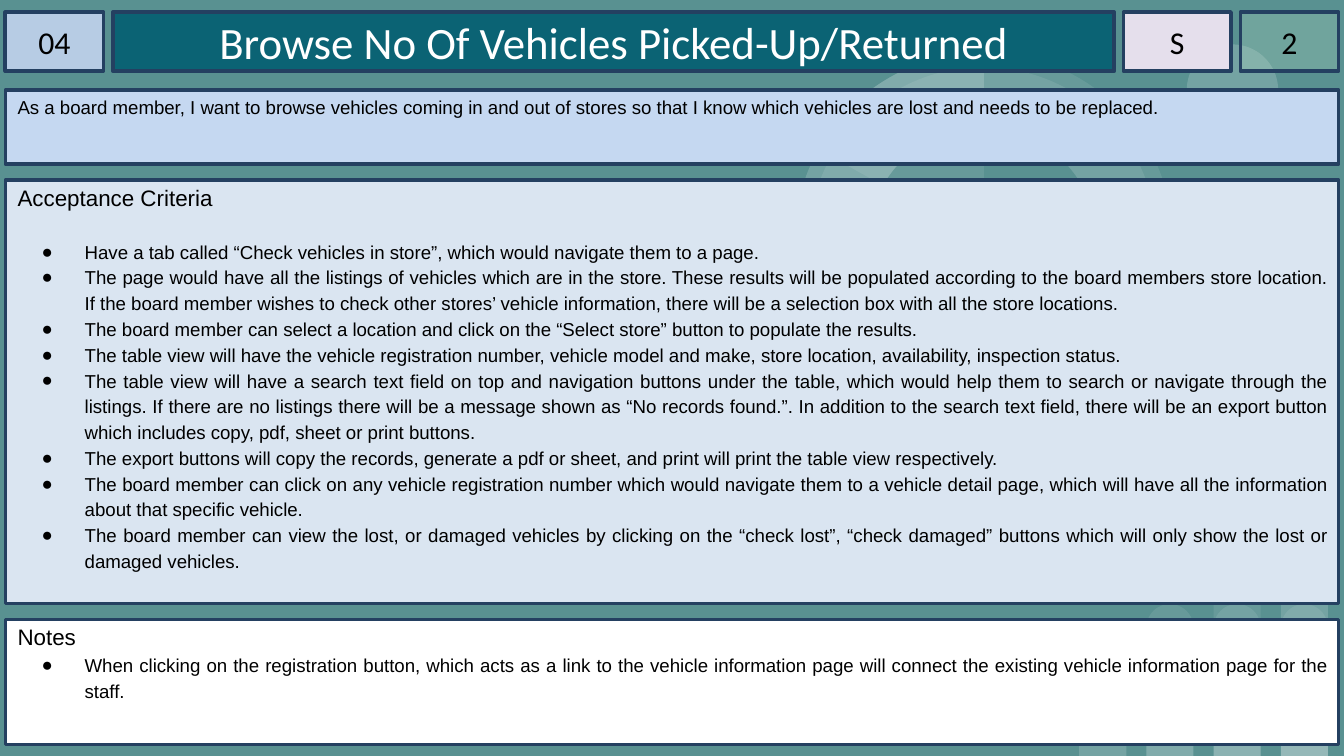
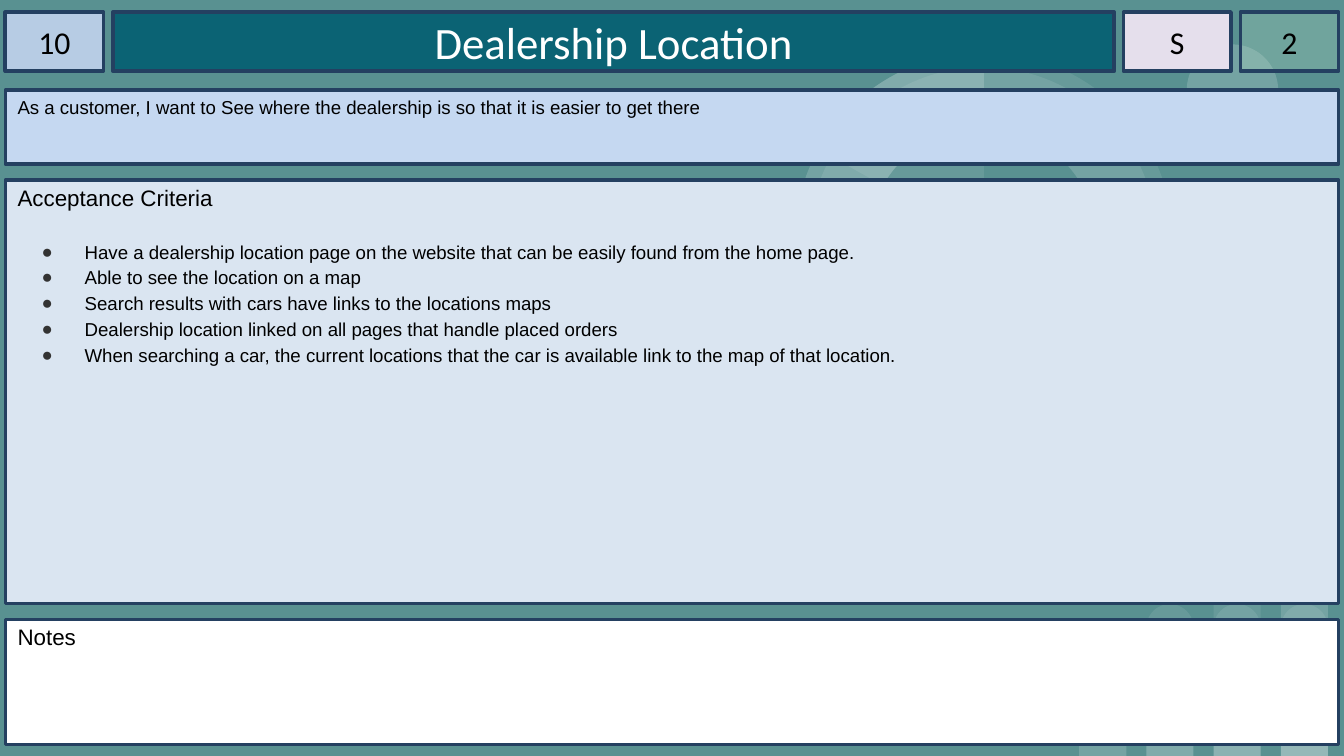
from dataclasses import dataclass

from lxml import etree
from pptx import Presentation
from pptx.dml.color import RGBColor
from pptx.enum.shapes import MSO_SHAPE
from pptx.enum.text import MSO_ANCHOR, PP_ALIGN
from pptx.oxml.ns import qn
from pptx.util import Inches, Pt

RECT, OVAL, PIE = MSO_SHAPE.RECTANGLE, MSO_SHAPE.OVAL, MSO_SHAPE.PIE
BAR = MSO_SHAPE.ROUND_2_SAME_RECTANGLE
TOP, MIDDLE = MSO_ANCHOR.TOP, MSO_ANCHOR.MIDDLE
LEFT, CENTER, JUSTIFY = PP_ALIGN.LEFT, PP_ALIGN.CENTER, PP_ALIGN.JUSTIFY

WIDTH = 10
HEIGHT = WIDTH * 9 / 16
MARGIN = 0.04
BACKGROUND, BORDER = "599191", "244061"
WHITE, BLACK, GREY = "FFFFFF", "000000", "333333"
TITLE_FILL, STORY_FILL, CRITERIA_FILL = "0B6374", "C5D8F1", "DAE5F1"
HEADING_FONT, BODY_FONT = "Calibri", "Arial"

HEADER_TOP, HEADER_HEIGHT, HEADER_GAP = 0.09, 0.44, 0.07
PANEL_TOP, PANEL_GAP = 0.67, 0.12
PANEL_WIDTH = WIDTH - 2 * MARGIN

BAR_COUNT, BAR_LEFT, BAR_PITCH, BAR_WIDTH, BAR_STEP = 4, 8.03, 0.5, 0.35, 0.38


@dataclass
class Story:
    number: str
    title: str
    priority: str
    points: str
    text: str
    criteria: list[str]
    notes: list[str]
    bullet_color: str


@dataclass
class HeaderCell:
    text: str
    width: float
    fill: str
    size: int = 17
    color: str = BLACK
    inset: float = 0
    alpha: int = 100


@dataclass
class Panel:
    height: float
    fill: str
    inset_top: float


@dataclass
class Disc:
    left: float
    top: float
    size: float
    rotation: float = 0
    angles: tuple[float, ...] = ()
    fill: str = WHITE
    alpha: int = 9


PANELS = [
    Panel(0.55, STORY_FILL, 0.04),
    Panel(3.15, CRITERIA_FILL, 0.03),
    Panel(0.93, WHITE, 0.03),
]

DISCS = [
    Disc(8.83, 0.33, 0.68, 215.9),
    Disc(8.83, 0.33, 0.68, 215.9, (322.95, 205.23)),
    Disc(5.91, 0.39, 2.82),
    Disc(6.02, 0.5, 2.59, 34.1),
    Disc(5.91, 0.39, 2.82, 0, (146.69, 270)),
    Disc(6.46, 0.95, 1.7, 34.1, (), BACKGROUND, 100),
    Disc(5.91, 0.39, 2.82, 0, (209.24, 270)),
]

STORIES = [
    Story(
        "04", "Browse No Of Vehicles Picked-Up/Returned", "S", "2",
        "As a board member, I want to browse vehicles coming in and out of stores "
        "so that I know which vehicles are lost and needs to be replaced.",
        [
            "Have a tab called “Check vehicles in store”, which would navigate them to a page.",
            "The page would have all the listings of vehicles which are in the store. "
            "These results will be populated according to the board members store location. "
            "If the board member wishes to check other stores’ vehicle information, "
            "there will be a selection box with all the store locations.",
            "The board member can select a location and click on the “Select store” button "
            "to populate the results.",
            "The table view will have the vehicle registration number, vehicle model and make, "
            "store location, availability, inspection status.",
            "The table view will have a search text field on top and navigation buttons under "
            "the table, which would help them to search or navigate through the listings. "
            "If there are no listings there will be a message shown as “No records found.”. "
            "In addition to the search text field, there will be an export button which "
            "includes copy, pdf, sheet or print buttons.",
            "The export buttons will copy the records, generate a pdf or sheet, and print "
            "will print the table view respectively.",
            "The board member can click on any vehicle registration number which would "
            "navigate them to a vehicle detail page, which will have all the information "
            "about that specific vehicle.",
            "The board member can view the lost, or damaged vehicles by clicking on the "
            "“check lost”, “check damaged” buttons which will only show the lost or "
            "damaged vehicles.",
        ],
        [
            "When clicking on the registration button, which acts as a link to the vehicle "
            "information page will connect the existing vehicle information page for the staff.",
        ],
        BLACK,
    ),
    Story(
        "10", "Dealership Location", "S", "2",
        "As a customer, I want to See where the dealership is so that it is easier to get there",
        [
            "Have a dealership location page on the website that can be easily found "
            "from the home page.",
            "Able to see the location on a map",
            "Search results with cars have links to the locations maps",
            "Dealership location linked on all pages that handle placed orders",
            "When searching a car, the current locations that the car is available link "
            "to the map of that location.",
        ],
        [],
        GREY,
    ),
]


def rgb(color: str) -> RGBColor:
    return RGBColor.from_string(color)


def add_block(s, kind, left: float, top: float, width: float, height: float,
              fill: str, alpha: int = 100, border: bool = False):
    sp = s.shapes.add_shape(kind, Inches(left), Inches(top), Inches(width), Inches(height))
    sp.shadow.inherit = False
    sp.fill.solid()
    sp.fill.fore_color.rgb = rgb(fill)
    if alpha < 100:
        color = sp._element.spPr.find(".//" + qn("a:srgbClr"))
        etree.SubElement(color, qn("a:alpha"), val=str(alpha * 1000))
    if border:
        sp.line.color.rgb = rgb(BORDER)
        sp.line.width = Pt(2)
    else:
        sp.line.fill.background()
    return sp


def frame(sp, anchor, inset: float, inset_top: float = 0.04):
    tf = sp.text_frame
    tf.word_wrap = True
    tf.vertical_anchor = anchor
    tf.margin_left = tf.margin_right = Inches(inset)
    tf.margin_top, tf.margin_bottom = Inches(inset_top), Inches(0.04)
    return tf


def add_bullet(p, color: str) -> None:
    pPr = p._p.get_or_add_pPr()
    pPr.set("marL", str(Inches(0.5)))
    pPr.set("indent", str(Inches(-0.32)))
    bu_color = etree.SubElement(pPr, qn("a:buClr"))
    etree.SubElement(bu_color, qn("a:srgbClr"), val=color)
    etree.SubElement(pPr, qn("a:buFont"), typeface=BODY_FONT)
    etree.SubElement(pPr, qn("a:buChar"), char="●")


def write(tf, text: str, size: int = 10, font: str = BODY_FONT, color: str = BLACK,
          align=LEFT, bullet: str = "", before: int = 0) -> None:
    p = tf.add_paragraph() if tf.paragraphs[0].runs else tf.paragraphs[0]
    if bullet:
        add_bullet(p, bullet)
        p.line_spacing = 1.15
    if before:
        p.space_before = Pt(before)
    p.alignment = align
    r = p.add_run()
    r.text = text
    r.font.size = Pt(size)
    r.font.name = font
    r.font.color.rgb = rgb(color)


def write_list(tf, heading: str, items: list[str], color: str, gap: int = 0) -> None:
    write(tf, heading, size=12)
    for i, item in enumerate(items):
        write(tf, item, align=JUSTIFY, bullet=color, before=0 if i else gap)


def draw_backdrop(s) -> None:
    s.background.fill.solid()
    s.background.fill.fore_color.rgb = rgb(BACKGROUND)
    for column in range(BAR_COUNT):
        for level in range(1, column + 3):
            height = level * BAR_STEP - 0.01
            sp = add_block(s, BAR, BAR_LEFT + column * BAR_PITCH, HEIGHT - height,
                           BAR_WIDTH, height, WHITE, 9)
            sp.adjustments[0] = 0.5
    for disc in DISCS:
        sp = add_block(s, PIE if disc.angles else OVAL, disc.left, disc.top,
                       disc.size, disc.size, disc.fill, disc.alpha)
        sp.rotation = disc.rotation
        for i, angle in enumerate(disc.angles):
            sp.adjustments[i] = angle * 0.6


def draw_header(s, story: Story) -> None:
    cells = [
        HeaderCell(story.number, 0.73, "B7CCE4"),
        HeaderCell(story.title, 7.45, TITLE_FILL, 24, WHITE, 0.09),
        HeaderCell(story.priority, 0.8, "E5DFEC"),
        HeaderCell(story.points, 0.73, "CCF0CD", alpha=20),
    ]
    left = MARGIN
    for cell in cells:
        sp = add_block(s, RECT, left, HEADER_TOP, cell.width, HEADER_HEIGHT,
                       cell.fill, cell.alpha, border=True)
        write(frame(sp, MIDDLE, cell.inset), cell.text, size=cell.size,
              font=HEADING_FONT, color=cell.color, align=CENTER)
        left += cell.width + HEADER_GAP


def draw_panels(s, story: Story) -> None:
    frames = []
    top = PANEL_TOP
    for panel in PANELS:
        sp = add_block(s, RECT, MARGIN, top, PANEL_WIDTH, panel.height,
                       panel.fill, border=True)
        frames.append(frame(sp, TOP, 0.09, panel.inset_top))
        top += panel.height + PANEL_GAP
    summary, criteria, notes = frames
    write(summary, story.text)
    write_list(criteria, "Acceptance Criteria", story.criteria, story.bullet_color, gap=14)
    write_list(notes, "Notes", story.notes, story.bullet_color)


def main() -> None:
    prs = Presentation()
    prs.slide_width, prs.slide_height = Inches(WIDTH), Inches(HEIGHT)
    for story in STORIES:
        s = prs.slides.add_slide(prs.slide_layouts[6])
        draw_backdrop(s)
        draw_header(s, story)
        draw_panels(s, story)
    prs.save("out.pptx")


if __name__ == "__main__":
    main()
